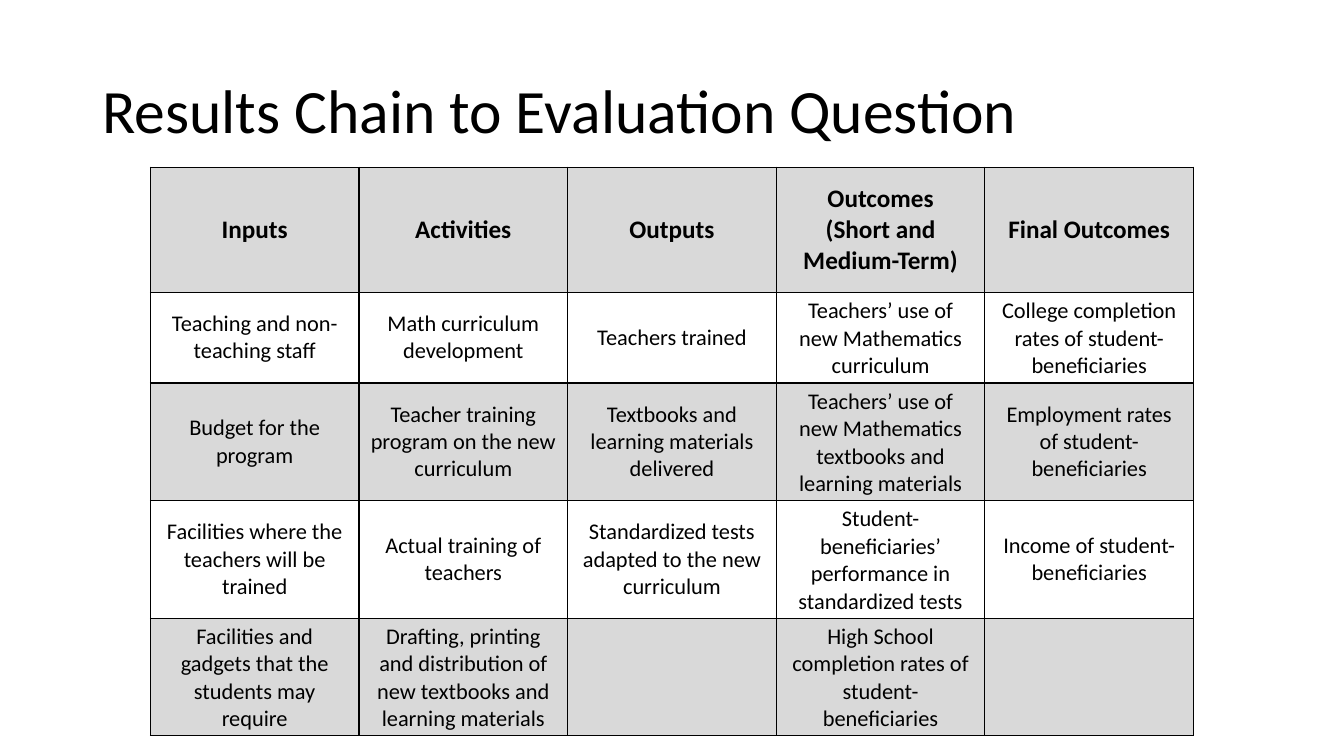
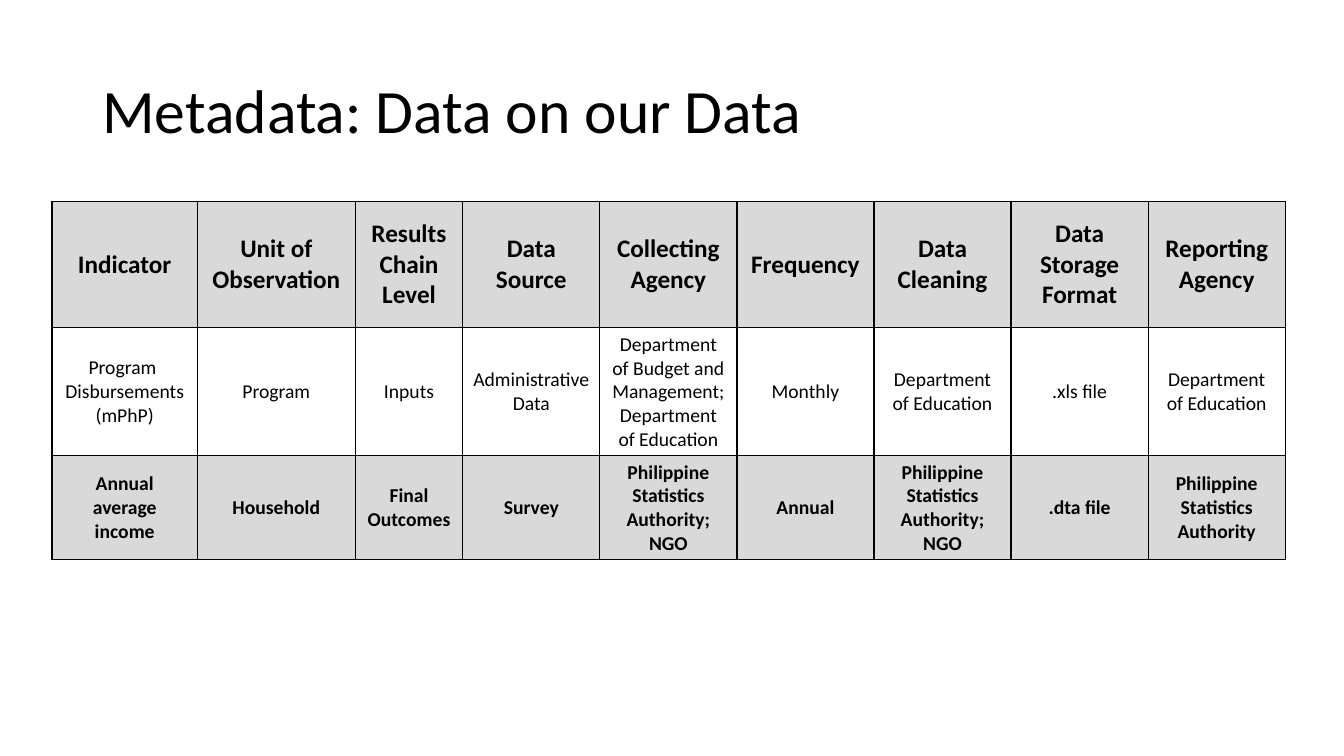
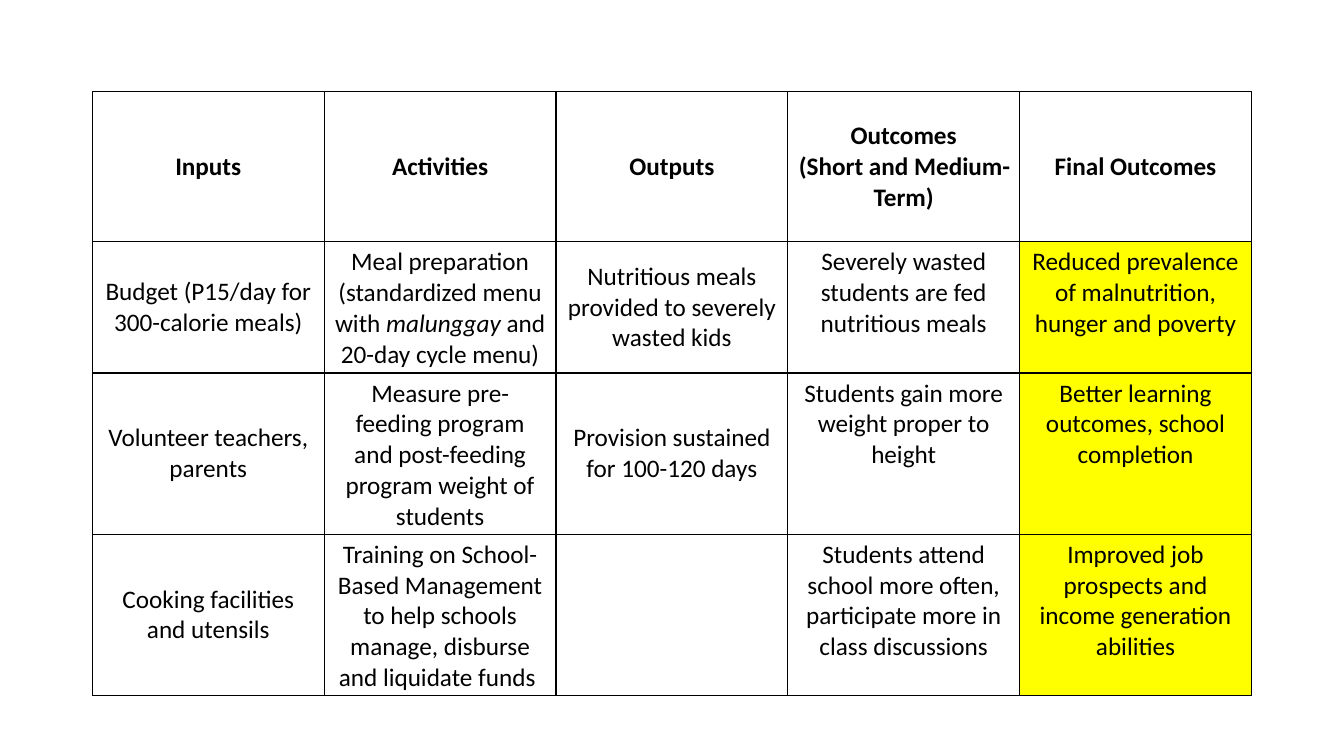
from lxml.etree import SubElement as add_element
from pptx import Presentation
from pptx.dml.color import RGBColor
from pptx.enum.text import MSO_ANCHOR as Anchor, PP_ALIGN as Align
from pptx.oxml.ns import qn
from pptx.util import Inches, Pt

COLORS = {"text": "000000", "border": "000000", "white": "FFFFFF",
          "band": "D9D9D9", "highlight": "FFFF00"}
OUTCOMES = "Outcomes\n(Short and Medium-Term)"
CHAIN_HEADER = ["Inputs", "Activities", "Outputs", OUTCOMES, "Final Outcomes"]


class Deck:
    font = "Calibri"
    title_size = 44
    header_size = 18
    grid_columns = 160

    def __init__(self):
        self.presentation = Presentation()
        self.presentation.slide_width = Inches(13.333)
        self.presentation.slide_height = Inches(7.5)
        self.slide = None

    def units(self, count):
        return round(self.presentation.slide_width * count / self.grid_columns)

    def color(self, name):
        return RGBColor.from_string(COLORS[name])

    def new_slide(self, title=None):
        self.slide = self.presentation.slides.add_slide(self.presentation.slide_layouts[6])
        if title:
            self.title(title)

    def add_run(self, paragraph, text, size, bold=False, italic=False):
        run = paragraph.add_run()
        run.text = text
        run.font.name = self.font
        run.font.size = Pt(size)
        run.font.bold = bold
        run.font.italic = italic
        run.font.color.rgb = self.color("text")

    def title(self, text):
        box = self.slide.shapes.add_textbox(*map(self.units, (11, 4.8, 138, 17.4)))
        frame = box.text_frame
        frame.word_wrap = True
        frame.vertical_anchor = Anchor.MIDDLE
        paragraph = frame.paragraphs[0]
        paragraph.line_spacing = 0.9
        self.add_run(paragraph, text, self.title_size)

    def table(self, left, top, widths, heights, rows, fills, body_size,
              bold_rows=(0,), top_columns=(), highlight_columns=()):
        box = map(self.units, (left, top, sum(widths), sum(heights)))
        table = self.slide.shapes.add_table(len(rows), len(widths), *box).table
        table.first_row = table.horz_banding = False
        for column, width in zip(table.columns, widths):
            column.width = self.units(width)
        for row, height in zip(table.rows, heights):
            row.height = self.units(height)
        for row_index, texts in enumerate(rows):
            size = body_size if row_index else self.header_size
            for column_index, text in enumerate(texts):
                cell = table.cell(row_index, column_index)
                at_top = row_index and column_index in top_columns
                highlighted = row_index and column_index in highlight_columns
                cell.vertical_anchor = Anchor.TOP if at_top else Anchor.MIDDLE
                self.borders(cell)
                cell.fill.solid()
                cell.fill.fore_color.rgb = self.color(
                    "highlight" if highlighted else fills[row_index])
                self.cell_text(cell, text, size, row_index in bold_rows)

    def borders(self, cell):
        properties = cell._tc.get_or_add_tcPr()
        for side in ("lnL", "lnR", "lnT", "lnB"):
            line = add_element(properties, qn(f"a:{side}"), w=str(Pt(1)))
            fill = add_element(line, qn("a:solidFill"))
            add_element(fill, qn("a:srgbClr"), val=COLORS["border"])

    def cell_text(self, cell, text, size, bold):
        frame = cell.text_frame
        for index, line in enumerate(text.split("\n")):
            paragraph = frame.add_paragraph() if index else frame.paragraphs[0]
            paragraph.alignment = Align.CENTER
            for part_index, part in enumerate(line.split("*")):
                if part:
                    self.add_run(paragraph, part, size, bold, part_index % 2 == 1)


def results_chain(deck):
    deck.new_slide("Results Chain to Evaluation Question")
    rows = [
        CHAIN_HEADER,
        ["Teaching and non-teaching staff", "Math curriculum development",
         "Teachers trained", "Teachers’ use of new Mathematics curriculum",
         "College completion rates of student-beneficiaries"],
        ["Budget for the program", "Teacher training program on the new curriculum",
         "Textbooks and learning materials delivered",
         "Teachers’ use of new Mathematics textbooks and learning materials",
         "Employment rates of student-beneficiaries"],
        ["Facilities where the teachers will be trained", "Actual training of teachers",
         "Standardized tests adapted to the new curriculum",
         "Student-beneficiaries’ performance in standardized tests",
         "Income of student-beneficiaries"],
        ["Facilities and gadgets that the students may require",
         "Drafting, printing and distribution of new textbooks and learning materials",
         "", "High School completion rates of student-beneficiaries", ""],
    ]
    deck.table(17.9, 19.9, [24.84] * 5, [14.9] + [6] * 4, rows,
               ["band", "white", "band", "white", "band"], 16)


def metadata(deck):
    deck.new_slide("Metadata: Data on our Data")
    education = "Department of Education"
    statistics = "Philippine Statistics Authority"
    rows = [
        ["Indicator", "Unit of Observation", "Results Chain Level", "Data Source",
         "Collecting Agency", "Frequency", "Data Cleaning", "Data Storage Format",
         "Reporting\nAgency"],
        ["Program \nDisbursements\n(mPhP)", "Program", "Inputs", "Administrative Data",
         f"Department of Budget and Management; {education}", "Monthly", education,
         ".xls file", education],
        ["Annual average income", "Household", "Final Outcomes", "Survey",
         f"{statistics}; NGO", "Annual", f"{statistics}; NGO", ".dta file", statistics],
    ]
    deck.table(6.2, 24, [17.3, 18.8, 12.8] + [16.32] * 6, [15, 10.5, 10.5], rows,
               ["band", "white", "band"], 14, bold_rows=(0, 2))


def feeding_program(deck):
    deck.new_slide()
    rows = [
        CHAIN_HEADER,
        ["Budget (P15/day for 300-calorie meals)",
         "Meal preparation (standardized menu with *malunggay* and 20-day cycle menu)",
         "Nutritious meals provided to severely wasted kids",
         "Severely wasted students are fed nutritious meals",
         "Reduced prevalence of malnutrition, hunger and poverty"],
        ["Volunteer teachers, parents",
         "Measure pre-feeding program and post-feeding program weight of students",
         "Provision sustained for 100-120 days",
         "Students gain more weight proper to height",
         "Better learning outcomes, school completion"],
        ["Cooking facilities and utensils",
         "Training on School-Based Management to help schools manage, "
         "disburse and liquidate funds ",
         "", "Students attend school more often, participate more in class discussions",
         "Improved job prospects and income generation abilities"],
    ]
    deck.table(11, 10.9, [27.6] * 5, [17.9, 13.5, 13.5, 16.7], rows, ["white"] * 4, 18,
               top_columns=(3, 4), highlight_columns=(4,))


def main():
    deck = Deck()
    results_chain(deck)
    metadata(deck)
    feeding_program(deck)
    deck.presentation.save("out.pptx")


if __name__ == "__main__":
    main()
